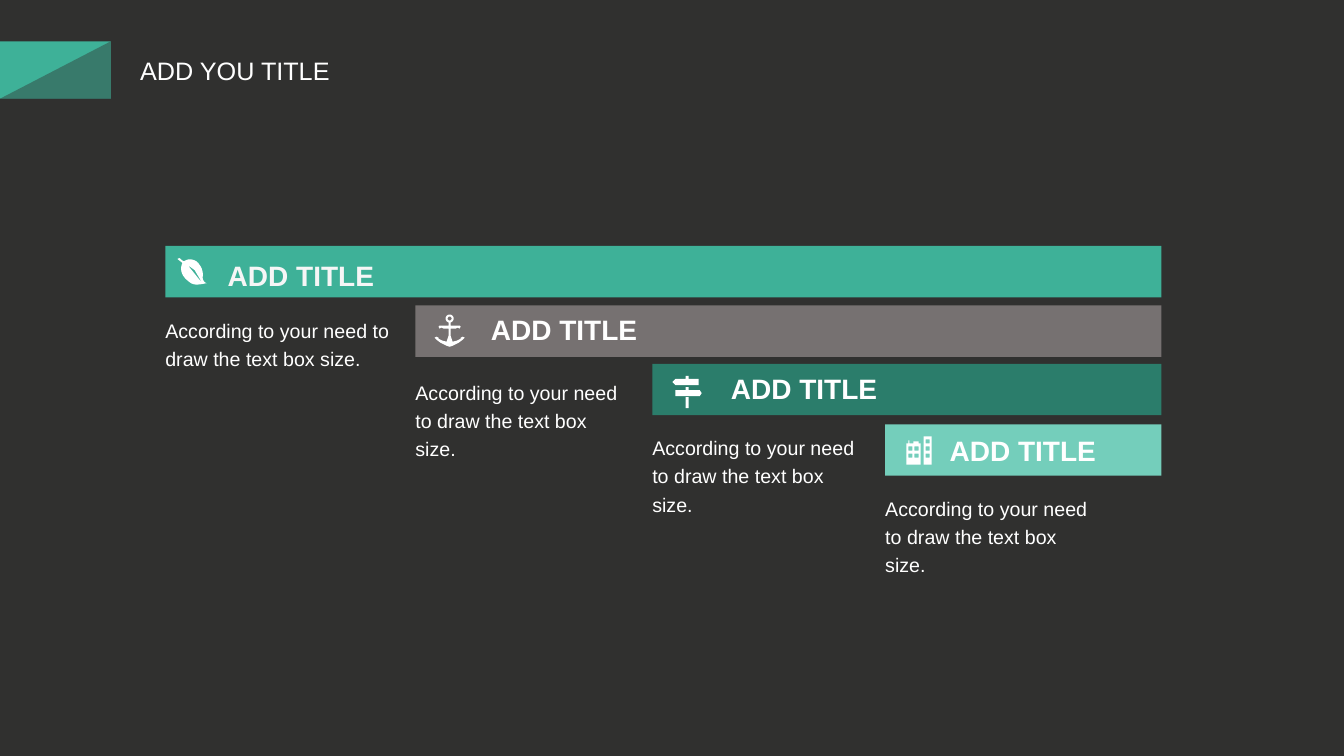
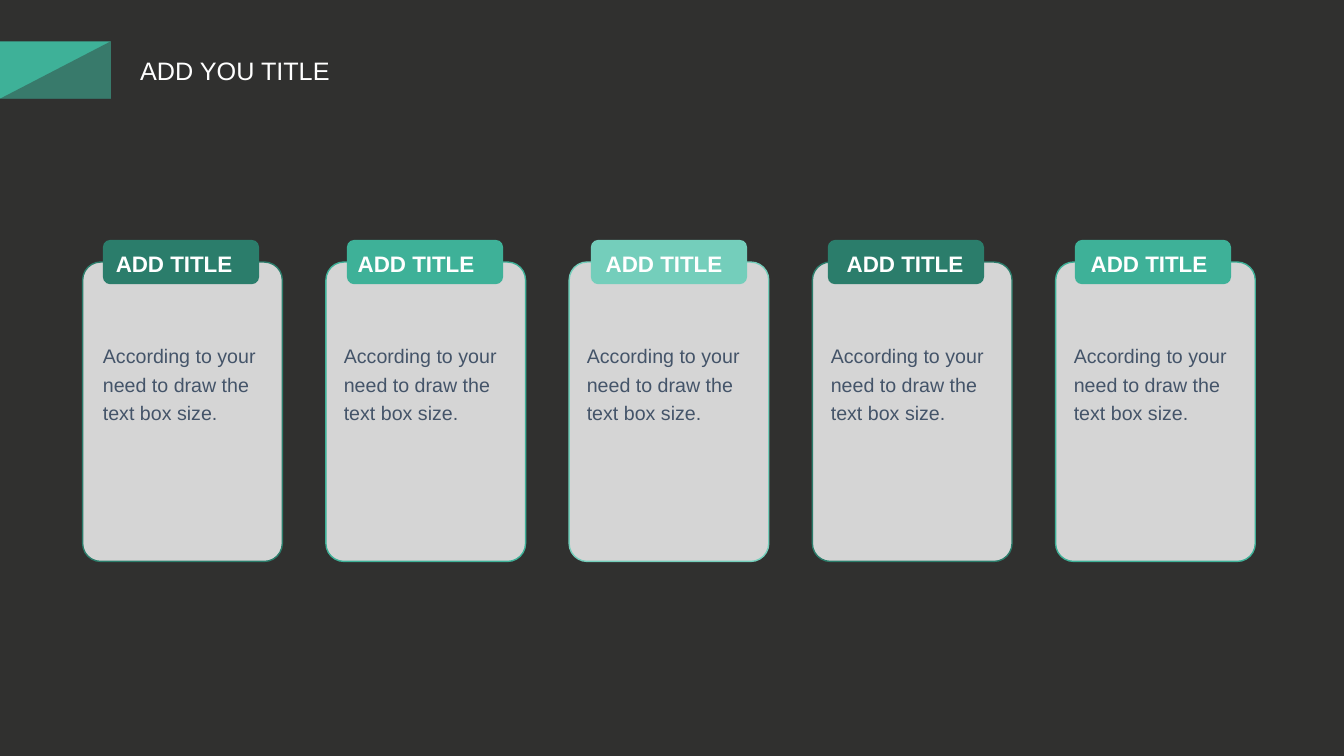
import math

from lxml import etree
from pptx import Presentation
from pptx.dml.color import RGBColor
from pptx.enum import shapes, text
from pptx.oxml import ns
from pptx.util import Inches, Pt

DARK = RGBColor(0x30, 0x30, 0x2F)
GREEN = RGBColor(0x3E, 0xB1, 0x98)
DEEP = RGBColor(0x2B, 0x7D, 0x6B)
MINT = RGBColor(0x74, 0xCE, 0xBB)
GREY = RGBColor(0x76, 0x71, 0x71)
SLATE = RGBColor(0x44, 0x54, 0x69)
PALE = RGBColor(0xF6, 0xF6, 0xF6)
WHITE = RGBColor(0xFF, 0xFF, 0xFF)
RECT = shapes.MSO_SHAPE.RECTANGLE
ROUNDED = shapes.MSO_SHAPE.ROUNDED_RECTANGLE

HEADING = "ADD YOU TITLE"
LABEL = "ADD TITLE"
BODY = "According to your need to draw the text box size."


def box(left, top, width, height):
    return [(left, top), (left + width, top), (left + width, top + height), (left, top + height)]


def circle(x, y, radius, steps=24):
    angles = [2 * math.pi * step / steps for step in range(steps)]
    return [(x + radius * math.cos(a), y + radius * math.sin(a)) for a in angles]


def flatten(outline, steps=8):
    """Turn an outline of points and cubic curves (six numbers) into points."""
    points = []
    for item in outline:
        if len(item) == 2:
            points.append(item)
            continue
        controls = [points[-1], item[:2], item[2:4], item[4:]]
        for step in range(1, steps + 1):
            t = step / steps
            weights = [math.comb(3, i) * t**i * (1 - t) ** (3 - i) for i in range(4)]
            points.append(tuple(sum(w * c[axis] for w, c in zip(weights, controls)) for axis in (0, 1)))
    return points


class Deck:
    """Holds the shared style and the current slide."""

    font = "Arial"

    def __init__(self):
        self.prs = Presentation()
        self.prs.slide_width, self.prs.slide_height = Inches(13.33), Inches(7.5)
        background = self.prs.slide_master.background.fill
        background.solid()
        background.fore_color.rgb = DARK

    def new_slide(self, heading):
        self.slide = self.prs.slides.add_slide(self.prs.slide_layouts[5])
        flag = (0, 0.41, 1.1, 0.57)
        self.shape(RECT, flag, GREEN)
        fold = self.shape(shapes.MSO_SHAPE.RIGHT_TRIANGLE, flag, DARK, opacity=42)
        fold.element.spPr.get_or_add_xfrm().set("flipH", "1")
        title = self.slide.shapes.title
        title.left, title.top, title.width, title.height = map(Inches, (1.29, 0.5, 2.1, 0.4))
        self.set_text(title.text_frame, heading, 18, WHITE, wrap=False)

    def set_text(self, frame, words, size, color, bold=False, wrap=True):
        frame.text = words
        frame.word_wrap = wrap
        frame.auto_size = text.MSO_AUTO_SIZE.SHAPE_TO_FIT_TEXT
        frame.vertical_anchor = text.MSO_ANCHOR.TOP
        paragraph = frame.paragraphs[0]
        paragraph.alignment = text.PP_ALIGN.LEFT
        font = paragraph.runs[0].font
        font.name, font.size, font.bold = self.font, Pt(size), bold
        font.color.rgb = color

    def paint(self, shape, fill, line=None):
        shape.shadow.inherit = False
        shape.fill.solid()
        shape.fill.fore_color.rgb = fill
        if line is None:
            shape.line.fill.background()
        else:
            shape.line.color.rgb = line
            shape.line.width = Pt(1)

    def shape(self, preset, area, fill, line=None, opacity=100):
        shape = self.slide.shapes.add_shape(preset, *map(Inches, area))
        self.paint(shape, fill, line)
        if opacity < 100:
            color = shape.element.spPr.find(".//" + ns.qn("a:srgbClr"))
            etree.SubElement(color, ns.qn("a:alpha"), val=str(opacity * 1000))
        return shape

    def icon(self, *outlines):
        builder = None
        for outline in outlines:
            start, *rest = [(Inches(x), Inches(y)) for x, y in flatten(outline)]
            if builder is None:
                builder = self.slide.shapes.build_freeform(*start)
            else:
                builder.move_to(*start)
            builder.add_line_segments(rest, close=True)
        self.paint(builder.convert_to_shape(), WHITE)

    def label(self, area, size, color=WHITE, wrap=True):
        frame = self.slide.shapes.add_textbox(*map(Inches, area)).text_frame
        self.set_text(frame, LABEL, size, color, bold=True, wrap=wrap)

    def body(self, area, color):
        frame = self.slide.shapes.add_textbox(*map(Inches, area)).text_frame
        self.set_text(frame, BODY, 14, color)
        frame.margin_left = frame.margin_top = frame.margin_right = frame.margin_bottom = 0
        frame.paragraphs[0].line_spacing = 1.2


def draw_leaf(deck):
    blade = [
        (2.01, 2.75), (2.02, 2.71, 2, 2.65, 1.98, 2.63), (1.95, 2.57, 1.87, 2.56, 1.83, 2.59),
        (1.82, 2.6, 1.78, 2.56, 1.78, 2.56), (1.76, 2.57), (1.81, 2.61),
        (1.81, 2.61, 1.75, 2.71, 1.88, 2.8), (1.93, 2.84, 1.99, 2.82, 2.05, 2.81),
        (2.05, 2.81, 2.01, 2.8, 2.01, 2.75),
    ]
    vein = [(1.99, 2.79), (1.91, 2.69), (1.86, 2.63), (1.93, 2.68), (1.99, 2.78)]
    deck.icon(blade, vein)


def draw_anchor(deck):
    middle = 4.46
    half = [
        (0.01, 3.2), (0.01, 3.23), (0.1, 3.23), (0.11, 3.24), (0.1, 3.26), (0.08, 3.25),
        (0.06, 3.26), (0.01, 3.26), (0.01, 3.33), (0.03, 3.39), (0.07, 3.38), (0.11, 3.36),
        (0.11, 3.35), (0.13, 3.34), (0.15, 3.35), (0.13, 3.37), (0.09, 3.4), (0.03, 3.43), (0, 3.44),
    ]
    right = [(middle + x, y) for x, y in half]
    left = [(middle - x, y) for x, y in reversed(half)]
    deck.icon(right + left, circle(middle, 3.16, 0.04), circle(middle, 3.16, 0.02))


def draw_signpost(deck):
    deck.shape(RECT, (6.8, 3.94, 0.03, 0.11), WHITE)
    deck.icon([(6.8, 3.73), (6.83, 3.73), (6.83, 3.76), (6.93, 3.76), (6.93, 3.82),
               (6.7, 3.82), (6.67, 3.79), (6.7, 3.76), (6.8, 3.76)])
    deck.icon([(6.8, 3.84), (6.83, 3.84), (6.83, 3.87), (6.94, 3.87), (6.96, 3.9),
               (6.94, 3.93), (6.7, 3.93), (6.7, 3.87), (6.8, 3.87)])


def draw_buildings(deck):
    tower_windows = [box(9.18, y, 0.04, 0.04) for y in (4.36, 4.43, 4.5)]
    deck.icon(box(9.16, 4.33, 0.08, 0.28), *tower_windows)
    office = [(8.99, 4.61), (8.99, 4.4), (9.01, 4.4), (9.01, 4.37), (9.02, 4.37), (9.02, 4.4),
              (9.06, 4.4), (9.06, 4.38), (9.11, 4.38), (9.11, 4.4), (9.13, 4.4), (9.13, 4.61)]
    office_windows = [box(x, y, 0.04, 0.04) for x in (9.01, 9.07) for y in (4.43, 4.5)]
    deck.icon(office, *office_windows)


def build_steps(deck):
    deck.new_slide(HEADING)
    right_edge = 11.52
    steps = [
        (1.64, 2.44, GREEN, (2.16, 2.52), PALE, 3.12, 2.3, draw_leaf),
        (4.12, 3.03, GREY, (4.77, 3.05), WHITE, 3.73, 2.14, draw_anchor),
        (6.47, 3.61, DEEP, (7.15, 3.64), WHITE, 4.28, 2.13, draw_signpost),
        (8.78, 4.21, MINT, (9.32, 4.25), WHITE, 4.88, 2.15, draw_buildings),
    ]
    for left, top, fill, label_at, label_color, body_top, body_width, draw_icon in steps:
        deck.shape(RECT, (left, top, right_edge - left, 0.51), fill)
        deck.label((*label_at, 1.67, 0.44), 20, label_color, wrap=False)
        draw_icon(deck)
        deck.body((left, body_top, body_width, 0.56), WHITE)


def build_cards(deck):
    deck.new_slide(HEADING)
    first, last = 0.82, 10.47
    cards = [
        (DEEP, 1.02, 1.05, 1.02),
        (GREEN, 3.44, 3.45, 3.41),
        (MINT, 5.86, 5.91, 5.82),
        (DEEP, 8.21, 8.3, 8.24),
        (GREEN, 10.66, 10.72, 10.65),
    ]
    pitch = (last - first) / (len(cards) - 1)
    for index, (accent, tab_left, label_left, body_left) in enumerate(cards):
        card = deck.shape(ROUNDED, (first + index * pitch, 2.6, 1.98, 2.97), WHITE, accent, opacity=80)
        card.adjustments[0] = 0.09
        deck.shape(ROUNDED, (tab_left, 2.38, 1.55, 0.44), accent)
        deck.body((body_left, 3.37, 1.62, 0.85), SLATE)
        deck.label((label_left, 2.43, 1.56, 0.37), 16)


def main():
    deck = Deck()
    build_steps(deck)
    build_cards(deck)
    deck.prs.save("out.pptx")


if __name__ == "__main__":
    main()
